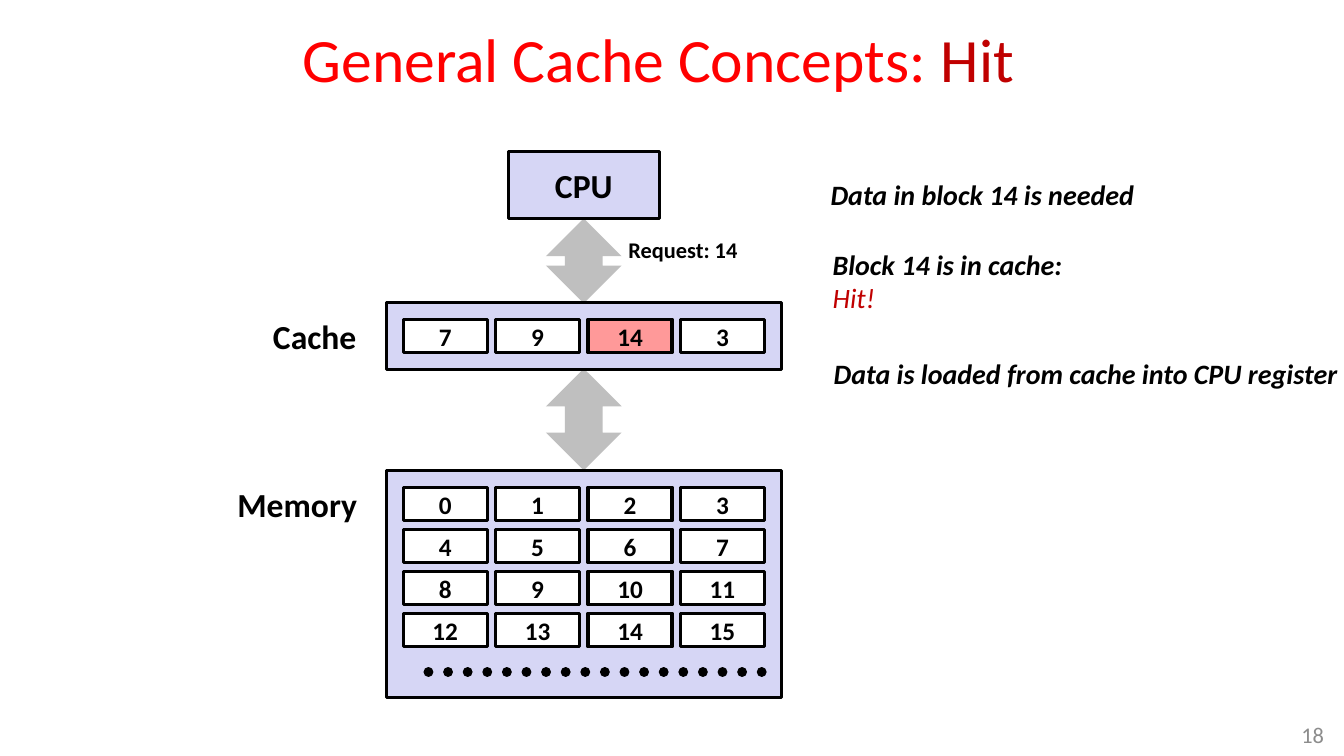
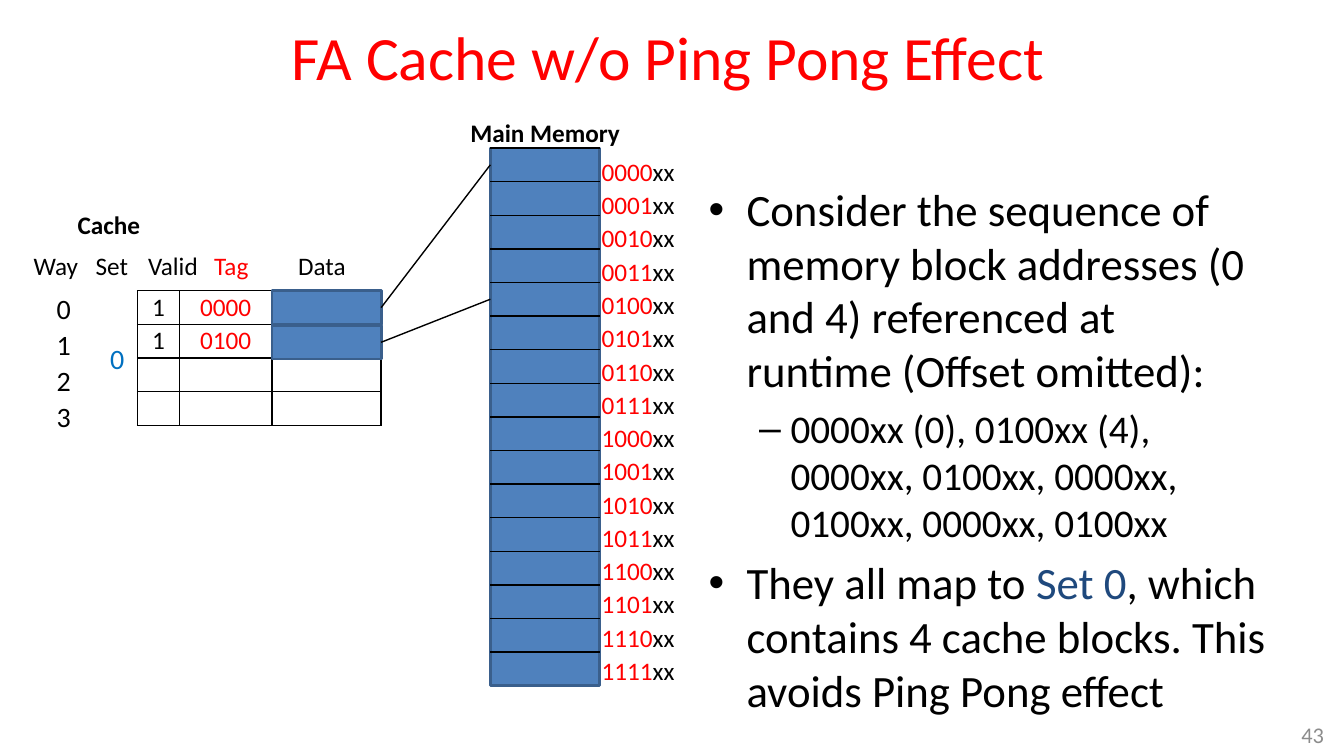
from lxml import etree
from pptx import Presentation
from pptx.dml.color import RGBColor
from pptx.enum.dml import MSO_LINE
from pptx.enum.shapes import MSO_CONNECTOR, MSO_SHAPE
from pptx.enum.text import MSO_ANCHOR, MSO_AUTO_SIZE, PP_ALIGN
from pptx.oxml.ns import qn
from pptx.util import Pt

PX = 9525
FONT = "Calibri"
TITLE_ONLY = 5
LEFT, CENTER, RIGHT = PP_ALIGN.LEFT, PP_ALIGN.CENTER, PP_ALIGN.RIGHT
TOP, MIDDLE = MSO_ANCHOR.TOP, MSO_ANCHOR.MIDDLE
RECTANGLE, ARROW = MSO_SHAPE.RECTANGLE, MSO_SHAPE.UP_DOWN_ARROW
STRAIGHT, DOTTED = MSO_CONNECTOR.STRAIGHT, MSO_LINE.ROUND_DOT
COLORS = {
    "black": "000000", "white": "FFFFFF", "red": "FF0000", "dark red": "C00000",
    "lavender": "D6D6F5", "pink": "FF9999", "silver": "BFBFBF", "gray": "8C8C8C",
    "blue": "4F81BD", "edge blue": "3A5F8C", "set blue": "0070C0", "navy": "1F497D",
}


def rgb(name):
    """Return the named colour."""
    return RGBColor.from_string(COLORS[name])


class Deck:
    """Holds the presentation, its style and the current slide."""

    def __init__(self):
        """Start a wide presentation."""
        self.deck = Presentation()
        self.deck.slide_width, self.deck.slide_height = 1280 * PX, 720 * PX
        self.page = None

    def add_page(self, number, title_bounds, title, spacing=1.0):
        """Add a slide with its title and number."""
        self.page = self.deck.slides.add_slide(self.deck.slide_layouts[TITLE_ONLY])
        holder = self.page.shapes.title
        holder.left, holder.top, holder.width, holder.height = [n * PX for n in title_bounds]
        self.setup(holder.text_frame, MIDDLE)
        self.para(holder.text_frame, title, 44, "red", align=CENTER, spacing=spacing)
        self.text((1216, 680, 45, 40), [str(number)], 16, "gray", anchor=MIDDLE, align=RIGHT)

    def setup(self, frame, anchor, wrap=True):
        """Clear the insets of a text frame and anchor it."""
        frame.margin_left = frame.margin_right = frame.margin_top = frame.margin_bottom = 0
        frame.vertical_anchor = anchor
        frame.word_wrap = wrap
        frame.auto_size = MSO_AUTO_SIZE.NONE

    def para(self, frame, spans, size, color="black", bold=False, italic=False,
             align=LEFT, spacing=1.0, before=0, bullet=None):
        """Write one paragraph from a string or from (text, colour) spans."""
        para = frame.add_paragraph() if frame.text else frame.paragraphs[0]
        para.alignment, para.line_spacing, para.space_before = align, spacing, Pt(before)
        if bullet:
            mark, para.level, indent, hang = bullet
            properties = para._p.get_or_add_pPr()
            properties.set("marL", str(indent * PX))
            properties.set("indent", str(-hang * PX))
            etree.SubElement(properties, qn("a:buFont")).set("typeface", "Arial")
            etree.SubElement(properties, qn("a:buChar")).set("char", mark)
        font = para.font
        font.name, font.size, font.bold, font.italic = FONT, Pt(size), bold, italic
        font.color.rgb = rgb(color)
        if isinstance(spans, str):
            para.add_run().text = spans
            return
        for words, shade in spans:
            span = para.add_run()
            span.text = words
            span.font.color.rgb = rgb(shade)

    def text(self, bounds, lines, size, color="black", anchor=TOP, wrap=False, **style):
        """Add a text box with one paragraph a line."""
        box = self.page.shapes.add_textbox(*[n * PX for n in bounds])
        self.setup(box.text_frame, anchor, wrap)
        for line in lines:
            self.para(box.text_frame, line, size, color, **style)
        return box.text_frame

    def shape(self, bounds, fill, edge=None, weight=2.25, kind=RECTANGLE, label=None, size=18):
        """Add a preset shape with an optional bold label."""
        shape = self.page.shapes.add_shape(kind, *[n * PX for n in bounds])
        shape.shadow.inherit = False
        shape.fill.solid()
        shape.fill.fore_color.rgb = rgb(fill)
        if edge:
            shape.line.color.rgb = rgb(edge)
            shape.line.width = Pt(weight)
        else:
            shape.line.fill.background()
        if label:
            self.setup(shape.text_frame, MIDDLE)
            self.para(shape.text_frame, label, size, bold=True, align=CENTER)

    def line(self, start, end, weight=1, dotted=False):
        """Add a straight black line."""
        ends = [n * PX for n in (*start, *end)]
        line = self.page.shapes.add_connector(STRAIGHT, *ends)
        line.line.color.rgb = rgb("black")
        line.line.width = Pt(weight)
        if dotted:
            line.line.dash_style = DOTTED
            line.element.spPr.find(qn("a:ln")).set("cap", "rnd")
        etree.SubElement(line.element.spPr, qn("a:effectLst"))

    def blocks(self, left, top, rows, marked=None):
        """Add a grid of numbered memory blocks."""
        for row, numbers in enumerate(rows):
            for column, number in enumerate(numbers):
                fill = "pink" if number == marked else "white"
                bounds = (left + 88 * column, top + 40 * row, 80, 32)
                self.shape(bounds, fill, "black", label=str(number))

    def border(self, cell):
        """Draw a thin black border round a table cell."""
        properties = cell._tc.get_or_add_tcPr()
        for position, side in enumerate(("lnL", "lnR", "lnT", "lnB")):
            line = etree.Element(qn(f"a:{side}"), w=str(Pt(1)))
            fill = etree.SubElement(line, qn("a:solidFill"))
            etree.SubElement(fill, qn("a:srgbClr")).set("val", COLORS["black"])
            properties.insert(position, line)

    def table(self, left, top, widths, height, rows, colors):
        """Add a plain ruled table with one text colour a column."""
        bounds = (left, top, sum(widths), height * len(rows))
        shapes = self.page.shapes
        table = shapes.add_table(len(rows), len(widths), *[n * PX for n in bounds]).table
        table.first_row = table.horz_banding = False
        for column, width in zip(table.columns, widths):
            column.width = width * PX
        for row, words in zip(table.rows, rows):
            row.height = height * PX
            for cell, word, color in zip(row.cells, words, colors):
                cell.fill.background()
                cell.margin_left = cell.margin_right = cell.margin_top = cell.margin_bottom = 0
                cell.vertical_anchor = MIDDLE
                self.para(cell.text_frame, word, 18, color, align=CENTER)
                self.border(cell)


def cache_hit(deck):
    """Build the slide on a cache hit."""
    deck.add_page(18, (117, 16, 1020, 78),
                  [("General Cache Concepts: ", "red"), ("Hit", "dark red")])
    note = {"size": 20, "bold": True, "italic": True, "spacing": 0.98}
    deck.text((791, 171, 290, 31), ["Data in block 14 is needed"], anchor=MIDDLE, **note)
    verdict = deck.text((793, 237, 220, 63), ["Block 14 is in cache:"], anchor=MIDDLE, **note)
    deck.para(verdict, "Hit!", color="dark red", **{**note, "bold": False})
    deck.text((794, 341, 486, 31), ["Data is loaded from cache into CPU register"],
              anchor=MIDDLE, **note)

    for top, height in ((208, 81), (351, 97)):
        deck.shape((520, top, 72, height), "silver", kind=ARROW)
    deck.shape((484, 144, 144, 64), "lavender", "black", label="CPU", size=24)
    deck.text((598, 225, 105, 26), ["Request: 14"], 16, bold=True, align=CENTER)

    memory = [range(first, first + 4) for first in range(0, 16, 4)]
    for name, left, top, height, rows, marked in (
        ("Cache", 260, 288, 64, [(7, 9, 14, 3)], 14),
        ("Memory", 226, 448, 216, memory, None),
    ):
        deck.shape((368, top, 376, height), "lavender", "black")
        deck.blocks(384, top + 16, rows, marked)
        deck.text((left, top + 13, 341 - left, 38), [name], 24, bold=True)
    deck.line((408, 640), (728, 640), 7, dotted=True)


def ping_pong(deck):
    """Build the slide on the fully associative cache."""
    deck.add_page(43, (139, 9, 995, 99), "FA Cache w/o Ping Pong Effect", 0.85)
    points = deck.text((675, 173, 532, 465), [], 32, wrap=True)
    outer, inner = ("•", 0, 36, 36), ("–", 1, 78, 30)
    deck.para(points, "Consider the sequence of memory block addresses (0 and 4) "
              "referenced at runtime (Offset omitted):", 32, bullet=outer)
    deck.para(points, "0000xx (0), 0100xx (4), 0000xx, 0100xx, 0000xx, 0100xx, 0000xx, 0100xx",
              28, before=5.6, bullet=inner)
    deck.para(points, [("They all map to ", "black"), ("Set 0", "navy"),
                       (", which contains 4 cache blocks. This avoids Ping Pong effect", "black")],
              32, before=6.4, bullet=outer)

    row, memory_left, memory_top, width = 32, 467, 141, 104
    deck.text((448, 112, 143, 29), ["Main Memory"], 18, bold=True)
    deck.shape((memory_left, memory_top, width, 16 * row), "blue", "edge blue", 2)
    for index in range(16):
        y = memory_top + row * index
        deck.line((memory_left, y), (memory_left + width, y))
    addresses = [[(f"{index:04b}", "red"), ("xx", "black")] for index in range(16)]
    deck.text((573, 146, 84, 511), addresses, 18, spacing=1.1)

    deck.text((74, 199, 60, 29), ["Cache"], 18, bold=True)
    for name, left in (("Way", 32), ("Set", 91), ("Valid", 141), ("Tag", 204), ("Data", 284)):
        deck.text((left, 238, 50, 29), [name], 18, "red" if name == "Tag" else "black")
    for way in range(4):
        deck.text((54, 278 + 34 * way, 14, 32), [str(way)], 20)
    deck.text((105, 325, 14, 32), ["0"], 20, "set blue")

    cache_top, data_left = 277, 259
    rows = [("1", "0000", ""), ("1", "0100", ""), ("", "", ""), ("", "", "")]
    deck.table(131, cache_top, (40, 88, width), row, rows, ("black", "red", "black"))
    for way, block in enumerate((0, 4)):
        y = cache_top + 33 * way
        deck.shape((data_left, y, width, row), "blue", "edge blue", 2)
        deck.line((memory_left, memory_top + row * block + row // 2),
                  (data_left + width, y + row // 2))


def main():
    """Build and save the slides."""
    deck = Deck()
    cache_hit(deck)
    ping_pong(deck)
    deck.deck.save("out.pptx")


if __name__ == "__main__":
    main()
